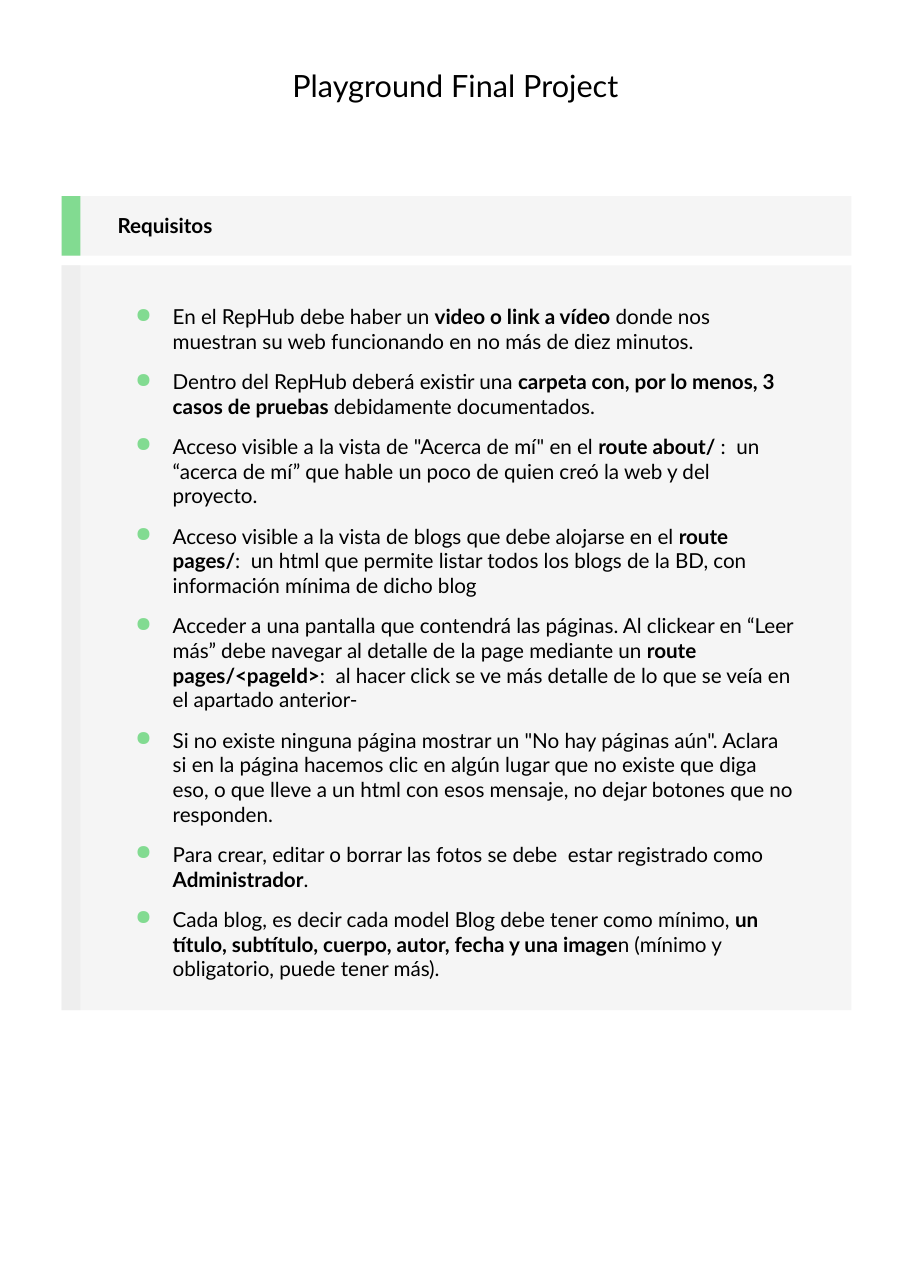
from pptx import Presentation
from pptx.dml.color import RGBColor
from pptx.enum.shapes import MSO_SHAPE
from pptx.enum.text import MSO_ANCHOR, PP_ALIGN
from pptx.oxml import parse_xml
from pptx.oxml.ns import nsdecls
from pptx.util import Pt

RECTANGLE = MSO_SHAPE.RECTANGLE
TOP, MIDDLE = MSO_ANCHOR.TOP, MSO_ANCHOR.MIDDLE
LEFT, CENTER = PP_ALIGN.LEFT, PP_ALIGN.CENTER

PX = 9144  # 100 px to the inch
THEME = {
    "font": "Lato",
    "text": "000000",
    "panel": "F5F5F5",
    "accent": "82DB91",
    "muted": "EEEEEE",
    "title_size": 20,
    "body_size": 13.5,
    "item_gap": 10,
}

# Bold passages stand between ** marks
REQUIREMENTS = [
    "En el RepHub debe haber un **video o link a vídeo** donde nos muestran su web "
    "funcionando en no más de diez minutos.",
    "Dentro del RepHub deberá existir una **carpeta con, por lo menos, 3 casos de "
    "pruebas** debidamente documentados.",
    'Acceso visible a la vista de "Acerca de mí" en el **route about/** :  un “acerca '
    "de mí” que hable un poco de quien creó la web y del proyecto.",
    "Acceso visible a la vista de blogs que debe alojarse en el **route pages/**:  un "
    "html que permite listar todos los blogs de la BD, con información mínima de dicho blog",
    "Acceder a una pantalla que contendrá las páginas. Al clickear en “Leer más” debe "
    "navegar al detalle de la page mediante un **route pages/<pageId>**:  al hacer click "
    "se ve más detalle de lo que se veía en el apartado anterior-",
    'Si no existe ninguna página mostrar un "No hay páginas aún". Aclara  si en la página '
    "hacemos clic en algún lugar que no existe que diga eso, o que lleve a un html con "
    "esos mensaje, no dejar botones que no responden.",
    "Para crear, editar o borrar las fotos se debe  estar registrado como "
    "**Administrador**.",
    "Cada blog, es decir cada model Blog debe tener como mínimo, **un título, subtítulo, "
    "cuerpo, autor, fecha y una image**n (mínimo y obligatorio, puede tener más).",
]


def add_text(left, top, width, height, lines, size, align=LEFT, anchor=TOP):
    """Add a text box with one paragraph per line and return its paragraphs."""
    box = slide.shapes.add_textbox(left * PX, top * PX, width * PX, height * PX)
    frame = box.text_frame
    frame.word_wrap = True
    frame.vertical_anchor = anchor
    frame.margin_left = frame.margin_right = 10 * PX
    frame.margin_top = frame.margin_bottom = 10 * PX
    for index, line in enumerate(lines):
        paragraph = frame.add_paragraph() if index else frame.paragraphs[0]
        paragraph.alignment = align
        paragraph.font.name = THEME["font"]
        paragraph.font.size = Pt(size)
        paragraph.font.color.rgb = RGBColor.from_string(THEME["text"])
        for part, words in enumerate(line.split("**")):
            if words:
                run = paragraph.add_run()
                run.text = words
                run.font.bold = part % 2 == 1
    return frame.paragraphs


presentation = Presentation()
presentation.slide_width = 827 * PX
presentation.slide_height = 1169 * PX
slide = presentation.slides.add_slide(presentation.slide_layouts[6])

# Title
add_text(55, 51, 717, 54, ["Playground Final Project"], THEME["title_size"], CENTER)

# Heading and body panels, each with a band at the left edge
for top, height, band in [(178, 54, "accent"), (241, 676, "muted")]:
    for width, color in [(717, "panel"), (17, band)]:
        shape = slide.shapes.add_shape(RECTANGLE, 56 * PX, top * PX, width * PX, height * PX)
        shape.shadow.inherit = False
        shape.fill.solid()
        shape.fill.fore_color.rgb = RGBColor.from_string(THEME[color])
        shape.line.fill.background()

# Heading
add_text(97, 180, 652, 49, ["**Requisitos**"], THEME["body_size"], anchor=MIDDLE)

# Bulleted requirements
items = add_text(97, 266, 636, 641, REQUIREMENTS, THEME["body_size"])
for index, paragraph in enumerate(items):
    if index:
        paragraph.space_before = Pt(THEME["item_gap"])
    properties = paragraph._p.get_or_add_pPr()
    properties.set("marL", str(50 * PX))
    properties.set("indent", str(-34 * PX))
    bullet_color = parse_xml(
        f'<a:buClr {nsdecls("a")}><a:srgbClr val="{THEME["accent"]}"/></a:buClr>')
    bullet = parse_xml(f'<a:buChar {nsdecls("a")} char="●"/>')
    run_defaults = properties.find(
        "{http://schemas.openxmlformats.org/drawingml/2006/main}defRPr")
    run_defaults.addprevious(bullet_color)
    run_defaults.addprevious(bullet)

presentation.save("out.pptx")
